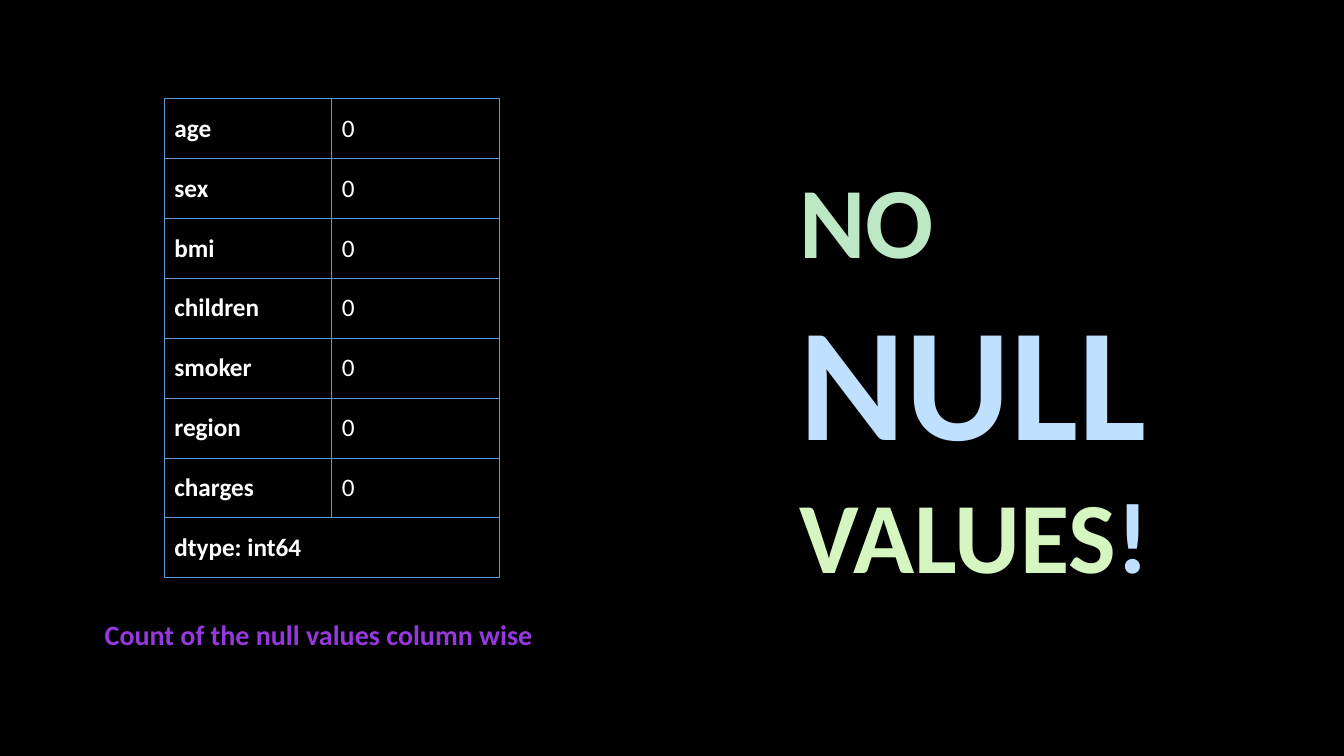
import pptx
import pptx.dml.color
import pptx.enum.text
import pptx.oxml
import pptx.oxml.ns
import pptx.util
from pptx.util import Inches

# Content
COLUMNS = ["age", "sex", "bmi", "children", "smoker", "region", "charges"]
ROWS = [(name, "0") for name in COLUMNS] + [("dtype: int64", "")]
PURPLE = ("69279C", "9538DE", "AF4BFF")
GREEN = ("91DEA0", "BDE8C5", "DFF3E3")
BLUE = ("96D0FF", "BFE1FF", "E0EFFF")
LIME = ("BEF297", "D5F6C0", "EAFAE0")
LINEAR = '<a:lin ang="0" scaled="1"/>'
RADIAL = ('<a:path path="circle"><a:fillToRect l="50000" t="50000" '
          'r="50000" b="50000"/></a:path>')
# box, alignment, gradient direction, paragraphs of (text, size, colours)
TEXTS = [
    ((0.94, 6.08, 4.7, 0.44), "LEFT", LINEAR,
     [[("Count of the null values column wise", 20, PURPLE)]]),
    ((7.83, 1.52, 3.88, 4.46), "JUSTIFY", RADIAL,
     [[("NO", 72, GREEN)],
      [("NULL", 115, BLUE)],
      [("VALUES", 72, LIME), ("!", 72, BLUE)]]),
]
TABLE_BOX = (1.63, 0.98, 3.32, 4.75)
BORDER, BORDER_PT = "5B9BD5", 0.5
NS = pptx.oxml.ns.nsdecls("a")


def rgb(value):
    return pptx.dml.color.RGBColor.from_string(value)


def add_run(p, text, size, bold=True):
    r = p.add_run()
    r.text = text
    for key, value in {"name": "Calibri", "size": pptx.util.Pt(size), "bold": bold}.items():
        setattr(r.font, key, value)
    return r


def gradient(r, colours, direction):
    stops = "".join(f'<a:gs pos="{i * 50000}"><a:srgbClr val="{c}"/></a:gs>'
                    for i, c in enumerate(colours))
    r.font._element.insert(0, pptx.oxml.parse_xml(
        f'<a:gradFill {NS}><a:gsLst>{stops}</a:gsLst>{direction}</a:gradFill>'))


def borders(cell):
    tcPr = cell._tc.get_or_add_tcPr()
    for i, side in enumerate("LRTB"):
        tcPr.insert(i, pptx.oxml.parse_xml(
            f'<a:ln{side} {NS} w="{pptx.util.Pt(BORDER_PT)}"><a:solidFill>'
            f'<a:srgbClr val="{BORDER}"/></a:solidFill></a:ln{side}>'))


prs = pptx.Presentation()
prs.slide_width, prs.slide_height = Inches(13.33), Inches(7.5)
s = prs.slides.add_slide(prs.slide_layouts[6])
s.background.fill.solid()
s.background.fill.fore_color.rgb = rgb("000000")

# Caption and headline
for box, align, direction, paragraphs in TEXTS:
    tf = s.shapes.add_textbox(*map(Inches, box)).text_frame
    tf.word_wrap = True
    tf.auto_size = pptx.enum.text.MSO_AUTO_SIZE.SHAPE_TO_FIT_TEXT
    for i, runs in enumerate(paragraphs):
        p = tf.add_paragraph() if i else tf.paragraphs[0]
        p.alignment = getattr(pptx.enum.text.PP_ALIGN, align)
        for text, size, colours in runs:
            gradient(add_run(p, text, size), colours, direction)

# Null count table
table = s.shapes.add_table(len(ROWS), 2, *map(Inches, TABLE_BOX)).table
table.first_row = table.horz_banding = False
for i, row in enumerate(ROWS):
    for j, text in enumerate(row):
        cell = table.cell(i, j)
        cell.fill.background()
        cell.vertical_anchor = pptx.enum.text.MSO_ANCHOR.MIDDLE
        borders(cell)
        if text:
            r = add_run(cell.text_frame.paragraphs[0], text, 18, bold=j == 0)
            r.font.color.rgb = rgb("FFFFFF")
last = len(ROWS) - 1
table.cell(last, 0).merge(table.cell(last, 1))

prs.save("out.pptx")
